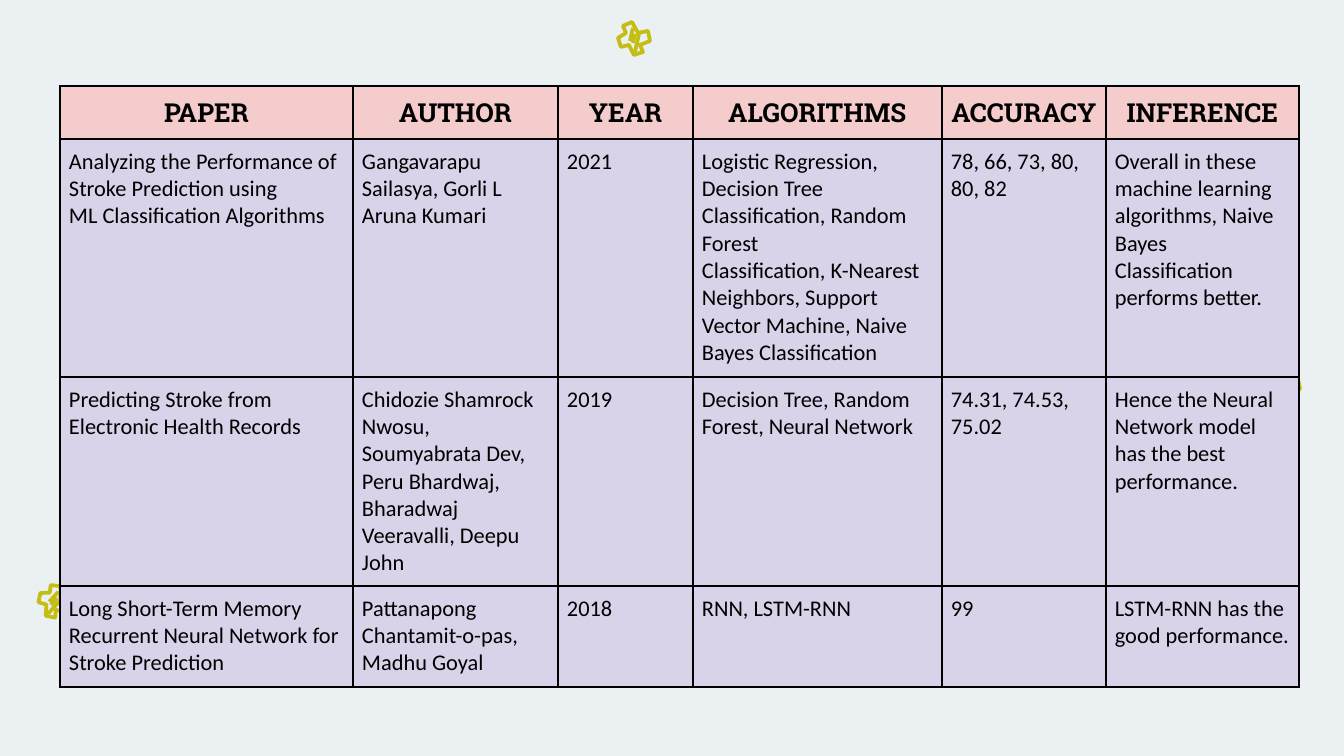
from lxml.etree import SubElement
from pptx import Presentation
from pptx.dml.color import RGBColor
from pptx.enum.text import PP_ALIGN as Align
from pptx.oxml import parse_xml
from pptx.oxml.ns import nsdecls, qn
from pptx.util import Emu, Pt

SCALE = 914400 / 134.4
SLIDE_SIZE = (1344, 756)
BACKGROUND, INK, CROSS_COLOR = "EBF0F3", "000000", "C4BE12"
HEADER_STYLE = dict(fill="F4CCCC", font="Roboto Slab", size=14, bold=True, align=Align.CENTER)
BODY_STYLE = dict(fill="D9D2E9", font="Calibri", size=12, bold=False, align=Align.LEFT)

TABLE_AT = (60, 86)
COLUMN_WIDTHS = (293, 205, 135, 249, 164, 193)
ROW_HEIGHTS = (53, 238, 209, 101)
CELL_MARGIN = 9
PAPERS = [
    ("PAPER", "AUTHOR", "YEAR", "ALGORITHMS", "ACCURACY", "INFERENCE"),
    ("Analyzing the Performance of Stroke Prediction using\nML Classification Algorithms",
     "Gangavarapu Sailasya, Gorli L Aruna Kumari",
     "2021",
     "Logistic Regression, Decision Tree Classification, Random Forest\n"
     "Classification, K-Nearest Neighbors, Support Vector Machine, Naive Bayes Classification",
     "78, 66, 73, 80, 80, 82",
     "Overall in these machine learning algorithms, Naive Bayes Classification performs better."),
    ("Predicting Stroke from Electronic Health Records",
     "Chidozie Shamrock Nwosu, Soumyabrata Dev, Peru Bhardwaj, Bharadwaj Veeravalli, Deepu John",
     "2019",
     "Decision Tree, Random Forest, Neural Network",
     "74.31, 74.53, 75.02",
     "Hence the Neural Network model has the best performance."),
    ("Long Short-Term Memory Recurrent Neural Network for Stroke Prediction",
     "Pattanapong Chantamit-o-pas, Madhu Goyal",
     "2018",
     "RNN, LSTM-RNN",
     "99",
     "LSTM-RNN has the good performance."),
]

# Left, top and rotation of each cross
CROSSES = [(1266, 368, 0), (616, 20, 0), (36, 583, 30)]
CROSS_OUTLINE = [(16, 2), (7, 6), (10, 13), (2, 18), (5, 27), (13, 25),
                 (18, 35), (27, 32), (24, 25), (34, 21), (32, 11), (22, 13)]
CROSS_HATCHES = [[(17, 8), (14, 21)], [(19, 14), (17, 23)], [(23, 14), (19, 32)]]


def px(value):
    """Turn picture pixels into EMU."""
    return Emu(round(value * SCALE))


def color(value):
    """Turn a hex string into a colour."""
    return RGBColor.from_string(value)


def add_cross(slide, left, top, rotation):
    """Draw a hand-sketched cross with hatching."""
    start, *rest = CROSS_OUTLINE
    builder = slide.shapes.build_freeform(*start, scale=SCALE)
    builder.add_line_segments(rest, close=True)
    for start, end in CROSS_HATCHES:
        builder.move_to(*start)
        builder.add_line_segments([end], close=False)
    sp = builder.convert_to_shape(px(left), px(top))
    sp.shadow.inherit = False
    sp.fill.background()
    sp.line.color.rgb = color(CROSS_COLOR)
    sp.line.width = Pt(2)
    sp.rotation = rotation


def add_borders(cell):
    """Put a 1 pt line on all four sides of a cell."""
    tc_pr = cell._tc.get_or_add_tcPr()
    for i, side in enumerate("LRTB"):
        line = parse_xml(f'<a:ln{side} {nsdecls("a")} w="{Pt(1)}"/>')
        fill = SubElement(line, qn("a:solidFill"))
        SubElement(fill, qn("a:srgbClr"), val=INK)
        tc_pr.insert(i, line)


def fill_cell(cell, text, style):
    """Write and format one table cell."""
    cell.text = text
    cell.fill.solid()
    cell.fill.fore_color.rgb = color(style["fill"])
    cell.margin_left = cell.margin_right = px(CELL_MARGIN)
    cell.margin_top = cell.margin_bottom = px(CELL_MARGIN)
    for p in cell.text_frame.paragraphs:
        p.alignment = style["align"]
        p.font.name = style["font"]
        p.font.size = Pt(style["size"])
        p.font.bold = style["bold"]
        p.font.color.rgb = color(INK)
    add_borders(cell)


def add_paper_table(slide):
    """Add the table of reviewed papers."""
    frame = slide.shapes.add_table(
        len(PAPERS), len(COLUMN_WIDTHS), *map(px, TABLE_AT),
        px(sum(COLUMN_WIDTHS)), px(sum(ROW_HEIGHTS)))
    table = frame.table
    table.first_row = table.horz_banding = False
    for column, width in zip(table.columns, COLUMN_WIDTHS):
        column.width = px(width)
    for i, (row, height, texts) in enumerate(zip(table.rows, ROW_HEIGHTS, PAPERS)):
        row.height = px(height)
        for cell, text in zip(row.cells, texts):
            fill_cell(cell, text, BODY_STYLE if i else HEADER_STYLE)


prs = Presentation()
prs.slide_width, prs.slide_height = map(px, SLIDE_SIZE)
slide = prs.slides.add_slide(prs.slide_layouts[6])
slide.background.fill.solid()
slide.background.fill.fore_color.rgb = color(BACKGROUND)
for cross in CROSSES:
    add_cross(slide, *cross)
add_paper_table(slide)
prs.save("out.pptx")
